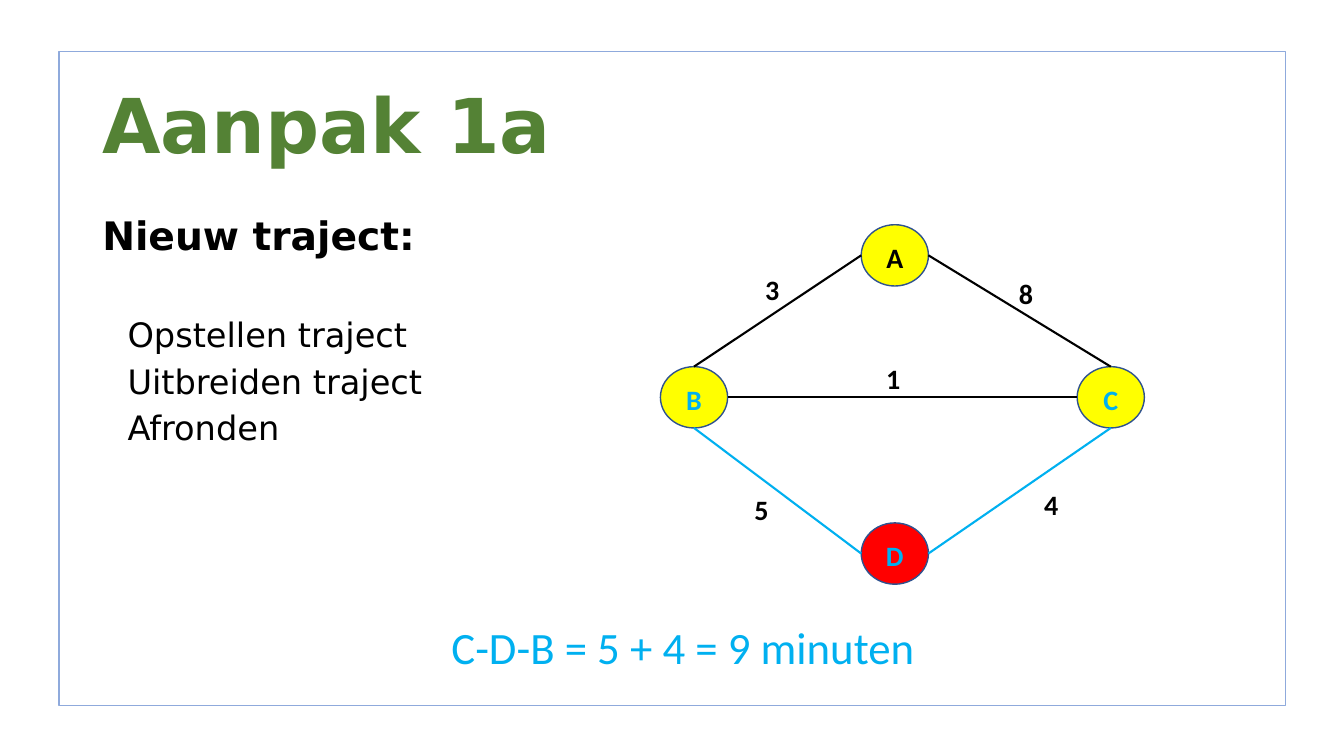
from pptx import Presentation
from pptx.dml.color import RGBColor as RGB
from pptx.enum.shapes import MSO_CONNECTOR as Conn, MSO_SHAPE as Kind
from pptx.enum.text import MSO_ANCHOR as Anchor, PP_ALIGN as Align
from pptx.oxml.ns import qn
from pptx.util import Inches, Pt
from lxml.etree import SubElement

BLACK, WHITE, BLUE, GREEN = "000000", "FFFFFF", "00B0F0", "548235"
YELLOW, RED, NAVY, PALE = "FFFF00", "FF0000", "2F528F", "8FAADC"
HEAD, BODY = "DejaVu Sans", "Calibri"


def tint(code):
    return RGB.from_string(code)


def cell(count):
    """Length of a number of grid cells, twelve to the inch."""
    return Inches(count / 12)


class Board:
    """Current slide with its style, measured in columns and rows."""
    node_w, node_h = 8, 7.3

    def __init__(self, slide):
        self.shapes = slide.shapes

    def font(self, para, size, color=BLACK, bold=False, face=BODY):
        font = para.font
        font.name, font.size, font.bold = face, Pt(size), bold
        font.color.rgb = tint(color)

    def shape(self, kind, x, y, w, h, fill, line):
        shape = self.shapes.add_shape(kind, *map(cell, (x, y, w, h)))
        shape.shadow.inherit = False
        shape.fill.solid()
        shape.fill.fore_color.rgb = tint(fill)
        shape.line.color.rgb = tint(line)
        shape.line.width = Pt(1)
        return shape

    def node(self, name, x, y, fill, color):
        """Draw a named oval centred on x, y."""
        w, h = self.node_w, self.node_h
        oval = self.shape(Kind.OVAL, x - w / 2, y - h / 2, w, h, fill, NAVY)
        frame = oval.text_frame
        frame.margin_left = frame.margin_right = frame.margin_bottom = 0
        frame.margin_top = Inches(0.03)
        frame.vertical_anchor = Anchor.MIDDLE
        para = frame.paragraphs[0]
        para.text, para.alignment = name, Align.CENTER
        self.font(para, 20, color, True)

    def edge(self, start, end, color):
        """Join two points with a straight line."""
        line = self.shapes.add_connector(
            Conn.STRAIGHT, *map(cell, (*start, *end)))
        line.line.color.rgb = tint(color)
        line.line.width = Pt(1.5)
        SubElement(line._element.spPr, qn("a:effectLst"))

    def text(self, x, y, w, h, words, *style, space=1.0):
        """Add a text box and return its frame and first paragraph."""
        box = self.shapes.add_textbox(*map(cell, (x, y, w, h)))
        frame = box.text_frame
        frame.word_wrap = True
        para = frame.paragraphs[0]
        para.text, para.line_spacing = words, space
        self.font(para, *style)
        return frame, para

    def item(self, frame, words, before):
        para = frame.add_paragraph()
        para.text, para.line_spacing = words, 0.8
        para.space_before = Pt(before)
        para._p.get_or_add_pPr().set("marL", str(Inches(0.25)))
        self.font(para, 24, face=HEAD)


NODES = {
    "B": (82.6, 47.3, YELLOW, BLUE),
    "D": (106.5, 65.9, RED, BLUE),
    "C": (132.2, 47.3, YELLOW, BLUE),
    "A": (106.5, 30.4, YELLOW, BLACK),
}
SIDES = {"top": (0, -1), "left": (-1, 0), "bottom": (0, 1), "right": (1, 0)}
# from, side, to, side, colour, minutes, label column and row
EDGES = [
    ("B", "top", "A", "left", BLACK, "3", 89.9, 31.9),
    ("D", "left", "B", "bottom", BLUE, "5", 88.6, 58),
    ("C", "top", "A", "right", BLACK, "8", 120.1, 32.3),
    ("D", "right", "C", "bottom", BLUE, "4", 123.1, 57.4),
    ("B", "right", "C", "left", BLACK, "1", 104.3, 42.4),
]


def port(name, side):
    """Point on the given side of a node."""
    x, y = NODES[name][:2]
    dx, dy = SIDES[side]
    return x + dx * Board.node_w / 2, y + dy * Board.node_h / 2


def main():
    deck = Presentation()
    deck.slide_width, deck.slide_height = Inches(13.33), Inches(7.5)
    board = Board(deck.slides.add_slide(deck.slide_layouts[6]))

    board.shape(Kind.RECTANGLE, 7, 6.1, 146, 77.9, WHITE, PALE)
    for name, spot in NODES.items():
        board.node(name, *spot)
    for a, out, b, into, color, time, x, y in EDGES:
        board.edge(port(a, out), port(b, into), color)
        board.text(x, y, 5, 5.3, time, 20, BLACK, True)

    title, _ = board.text(11, 6.7, 138, 17.4, "Aanpak 1a",
                          54, GREEN, True, HEAD, space=0.9)
    title.vertical_anchor = Anchor.MIDDLE

    steps, _ = board.text(11, 25.6, 60, 28, "Nieuw traject:",
                          28, BLACK, True, HEAD, space=0.8)
    board.item(steps, "Opstellen traject", 46)
    for words in ("Uitbreiden traject", "Afronden"):
        board.item(steps, words, 10)

    _, total = board.text(12.3, 74.4, 138, 6.6, "C-D-B = 5 + 4 = 9 minuten",
                          32, BLUE, space=0.8)
    total.alignment = Align.CENTER
    deck.save("out.pptx")


if __name__ == "__main__":
    main()
